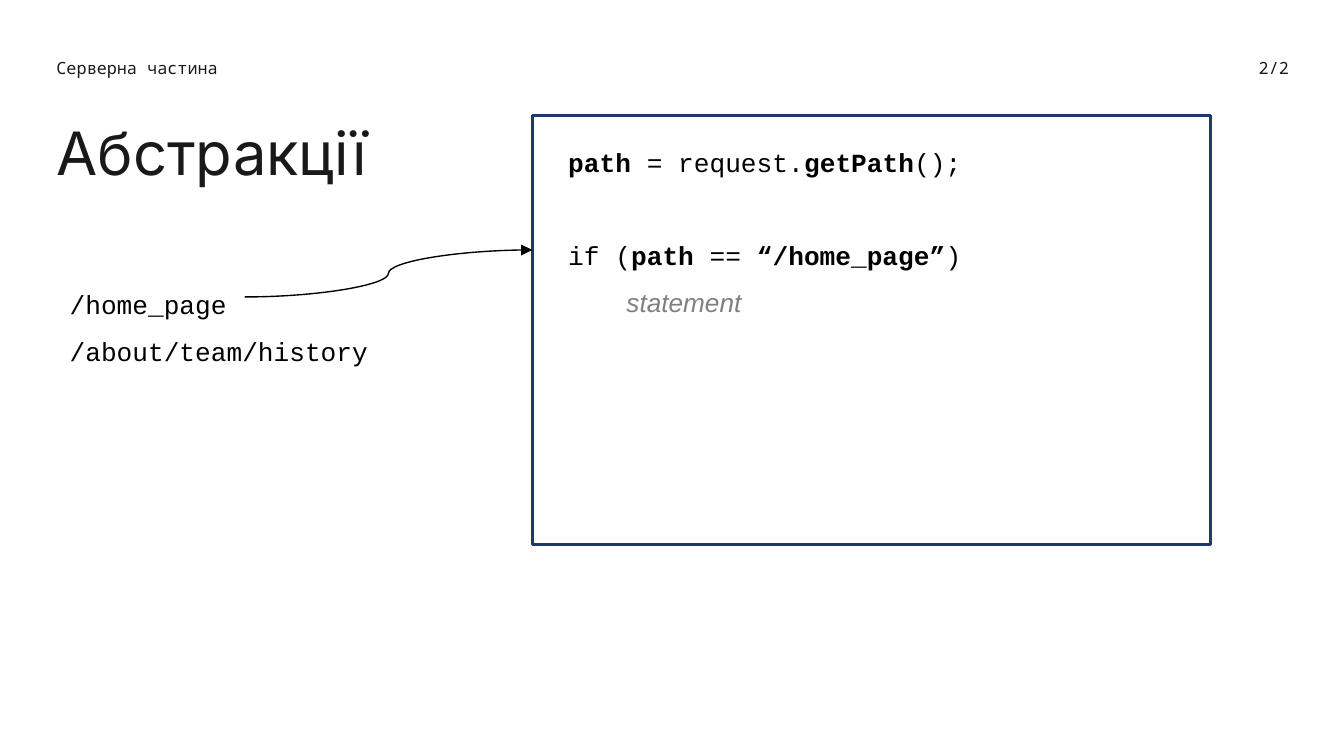
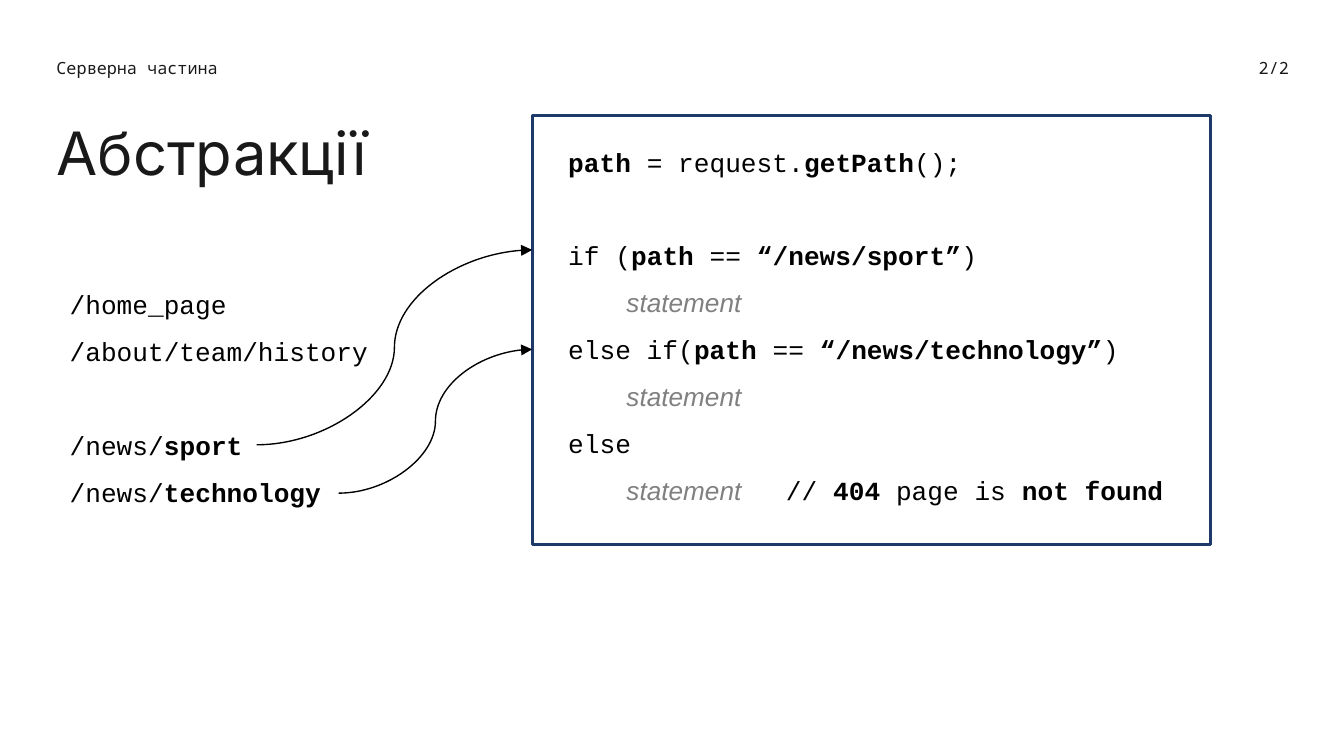
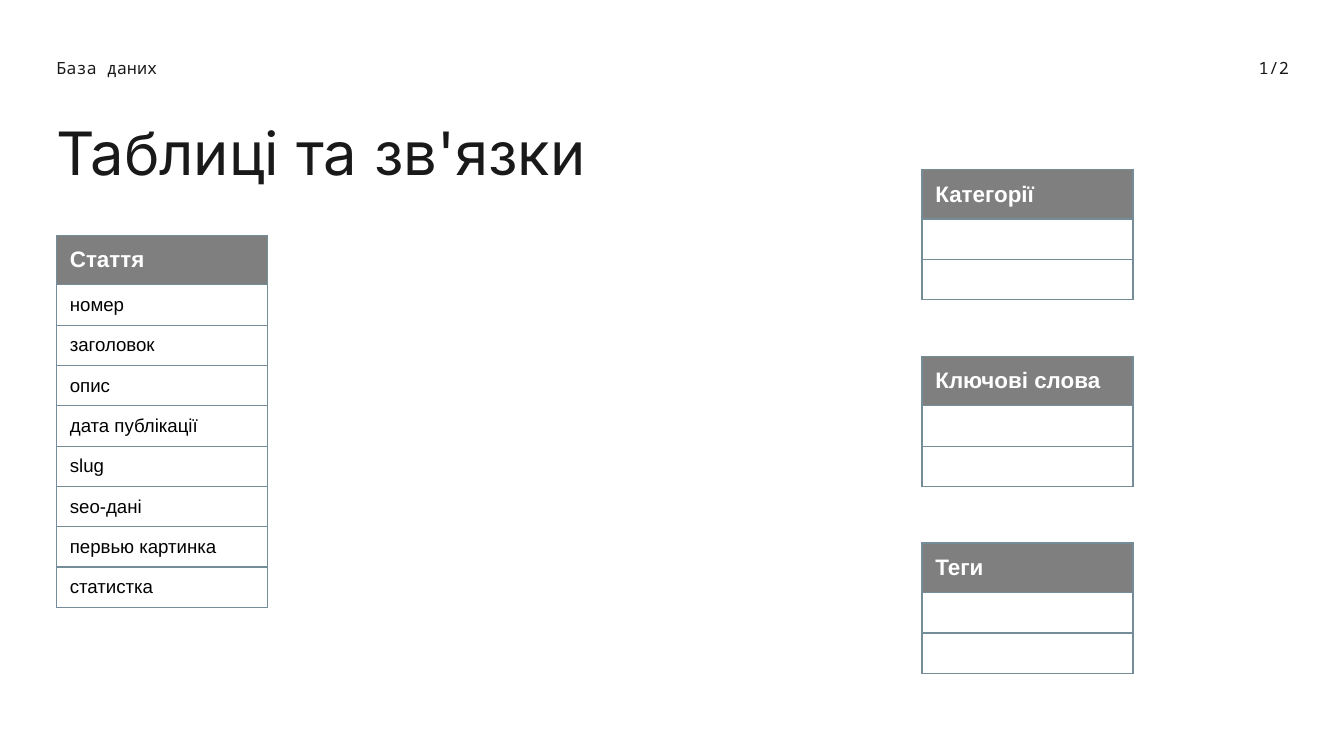
import dataclasses

import pptx
import pptx.dml.color
import pptx.enum.shapes
import pptx.enum.text
import pptx.oxml
import pptx.oxml.ns
import pptx.util

Inches = pptx.util.Inches
Pt = pptx.util.Pt
RGBColor = pptx.dml.color.RGBColor
PP_ALIGN = pptx.enum.text.PP_ALIGN

INK = RGBColor(0x19, 0x19, 0x19)
BLACK = RGBColor(0, 0, 0)
WHITE = RGBColor(0xFF, 0xFF, 0xFF)
STATEMENT_GREY = RGBColor(0x80, 0x80, 0x80)
HEADER_GREY = RGBColor(0x7F, 0x7F, 0x7F)
FRAME_BLUE = RGBColor(0x1D, 0x3A, 0x6B)
GRID_BLUE = RGBColor(0x74, 0x8D, 0x99)

TITLE_FONT = "Inter"
LABEL_FONT = "Noto Sans Mono"
CODE_FONT = "Courier New"
BODY_FONT = "Arial"

LEFT = 0.42
FRAME_LEFT = 3.96
FRAME_TOP = 0.86
EMPTY_LINE = 25
HEADER_HEIGHT = 0.37
ROW_HEIGHT = 0.3
TABLE_WIDTH = 1.57


@dataclasses.dataclass
class Run:
    text: str
    bold: bool = False
    italic: bool = False
    font: str = ""
    color: RGBColor = None


@dataclasses.dataclass
class Line:
    runs: list
    before: float = 0
    tab: float = 0


STATEMENT = [Run("        ", font=BODY_FONT),
             Run("statement", italic=True, font=BODY_FONT, color=STATEMENT_GREY)]
REQUEST = Line([Run("path", bold=True), Run(" = request."),
                Run("getPath", bold=True), Run("();")])
NOT_FOUND = Line(STATEMENT + [Run("\t// "), Run("404", bold=True), Run(" page is "),
                              Run("not found", bold=True)], tab=1.62)
ADDRESSES = [Line([Run("/home_page")]), Line([Run("/about/team/history")])]


def make_element(tag, **attributes):
    namespace = pptx.oxml.ns.nsdecls("a")
    element = pptx.oxml.parse_xml(f"<a:{tag} {namespace}/>")
    for name, value in attributes.items():
        element.set(name, str(value))
    return element


def write_text(frame, lines, *, size, font, color=BLACK, bold=False,
               align=PP_ALIGN.LEFT, spacing=None):
    if isinstance(lines, str):
        lines = [Line([Run(lines)] if lines else [])]
    for index, line in enumerate(lines):
        paragraph = frame.add_paragraph() if index else frame.paragraphs[0]
        paragraph.alignment = align
        if spacing:
            paragraph.line_spacing = spacing
        if line.before:
            paragraph.space_before = Pt(line.before)
        if line.tab:
            stops = make_element("tabLst")
            stops.append(make_element("tab", pos=Inches(line.tab), algn="l"))
            paragraph._p.get_or_add_pPr().append(stops)
        for part in line.runs:
            run = paragraph.add_run()
            run.text = part.text
            run.font.size = Pt(size)
            run.font.name = part.font or font
            run.font.bold = bold or part.bold
            run.font.italic = part.italic
            run.font.color.rgb = part.color or color
        if not line.runs:
            paragraph._p.append(make_element("endParaRPr", sz=size * 100))


def add_text(slide, left, top, width, height, lines, *, inset=True, wrap=True, **style):
    box = slide.shapes.add_textbox(Inches(left), Inches(top), Inches(width), Inches(height))
    frame = box.text_frame
    frame.word_wrap = wrap
    frame.auto_size = pptx.enum.text.MSO_AUTO_SIZE.SHAPE_TO_FIT_TEXT
    if not inset:
        frame.margin_left = frame.margin_right = 0
        frame.margin_top = frame.margin_bottom = 0
    write_text(frame, lines, **style)


def add_page(deck, section, number, title, title_width):
    slide = deck.slides.add_slide(deck.slide_layouts[6])
    label = dict(inset=False, size=9, font=LABEL_FONT, color=INK)
    add_text(slide, LEFT, 0.86, title_width, 0.54, title,
             inset=False, size=32, font=TITLE_FONT, color=INK)
    add_text(slide, LEFT, 0.43, 1.26, 0.15, section, **label)
    add_text(slide, 8.44, 0.43, 1.15, 0.15, number, align=PP_ALIGN.RIGHT, **label)
    return slide


def add_code(slide, left, top, width, height, lines):
    add_text(slide, left, top, width, height, lines, wrap=False,
             size=14, font=CODE_FONT, spacing=1.5)


def add_code_frame(slide):
    frame = slide.shapes.add_shape(pptx.enum.shapes.MSO_SHAPE.RECTANGLE, Inches(FRAME_LEFT),
                                   Inches(FRAME_TOP), Inches(5.05), Inches(3.19))
    frame.shadow.inherit = False
    frame.fill.background()
    frame.line.color.rgb = FRAME_BLUE
    frame.line.width = Pt(1.5)


def add_route_arrow(slide, left, start, end):
    arrow = slide.shapes.add_connector(pptx.enum.shapes.MSO_CONNECTOR.CURVE, Inches(left),
                                       Inches(start), Inches(FRAME_LEFT), Inches(end))
    arrow.line.color.rgb = BLACK
    arrow.line.width = Pt(0.75)
    arrow.line._get_or_add_ln().append(make_element("tailEnd", type="triangle"))
    arrow._element.spPr.append(make_element("effectLst"))


def condition(keyword, address, before=0):
    return Line([Run(keyword), Run("path", bold=True), Run(" == "),
                 Run(f"“{address}”", bold=True), Run(")")], before=before)


def add_routing_page(deck, addresses, addresses_height, code, code_width, code_height, arrows):
    slide = add_page(deck, "Серверна частина", "2/2", "Абстракції", 3.19)
    add_code(slide, LEFT, 1.98, 2.43, addresses_height, addresses)
    add_code(slide, 4.13, 0.92, code_width, code_height, [REQUEST] + code)
    add_code_frame(slide)
    for left, start, end in arrows:
        add_route_arrow(slide, left, start, end)


def add_borders(cell):
    properties = cell._tc.get_or_add_tcPr()
    for side in ("lnL", "lnR", "lnT", "lnB"):
        border = make_element(side, w=Pt(0.75))
        fill = make_element("solidFill")
        fill.append(make_element("srgbClr", val=GRID_BLUE))
        border.append(fill)
        properties.append(border)


def add_entity(slide, left, top, name, fields):
    rows = [name] + fields
    height = HEADER_HEIGHT + ROW_HEIGHT * len(fields)
    table = slide.shapes.add_table(len(rows), 1, Inches(left), Inches(top),
                                   Inches(TABLE_WIDTH), Inches(height)).table
    table.first_row = False
    table.horz_banding = False
    for index, text in enumerate(rows):
        is_header = index == 0
        table.rows[index].height = Inches(HEADER_HEIGHT if is_header else ROW_HEIGHT)
        cell = table.cell(index, 0)
        cell.vertical_anchor = pptx.enum.text.MSO_ANCHOR.MIDDLE
        add_borders(cell)
        if is_header:
            cell.fill.solid()
            cell.fill.fore_color.rgb = HEADER_GREY
        else:
            cell.fill.background()
        write_text(cell.text_frame, text, size=12 if is_header else 10, font=BODY_FONT,
                   color=WHITE if is_header else BLACK, bold=is_header)


def add_database_page(deck):
    slide = add_page(deck, "База даних", "1/2", "Таблиці та зв'язки", 4.06)
    add_entity(slide, LEFT, 1.75, "Стаття",
               ["номер", "заголовок", "опис", "дата публікації", "slug",
                "seo-дані", "первью картинка", "статистка"])
    for index, name in enumerate(["Категорії", "Ключові слова", "Теги"]):
        add_entity(slide, 6.86, 1.26 + 1.39 * index, name, ["", ""])


def main():
    deck = pptx.Presentation()
    deck.slide_width = Inches(10)
    deck.slide_height = Inches(10 * 9 / 16)

    home_code = [condition("if (", "/home_page", before=EMPTY_LINE), Line(STATEMENT)]
    add_routing_page(deck, ADDRESSES, 0.78, home_code, 3.14, 1.48, [(1.82, 2.21, 1.86)])

    news_addresses = [
        Line([Run("/news/"), Run("sport", bold=True)], before=EMPTY_LINE),
        Line([Run("/news/"), Run("technology", bold=True)]),
    ]
    news_code = [
        condition("if (", "/news/sport", before=EMPTY_LINE), Line(STATEMENT),
        condition("else if(", "/news/technology"), Line(STATEMENT),
        Line([Run("else")]), NOT_FOUND,
    ]
    add_routing_page(deck, ADDRESSES + news_addresses, 1.84, news_code, 4.64, 2.9,
                     [(1.91, 3.31, 1.86), (2.52, 3.67, 2.6)])

    add_database_page(deck)
    deck.save("out.pptx")


if __name__ == "__main__":
    main()
